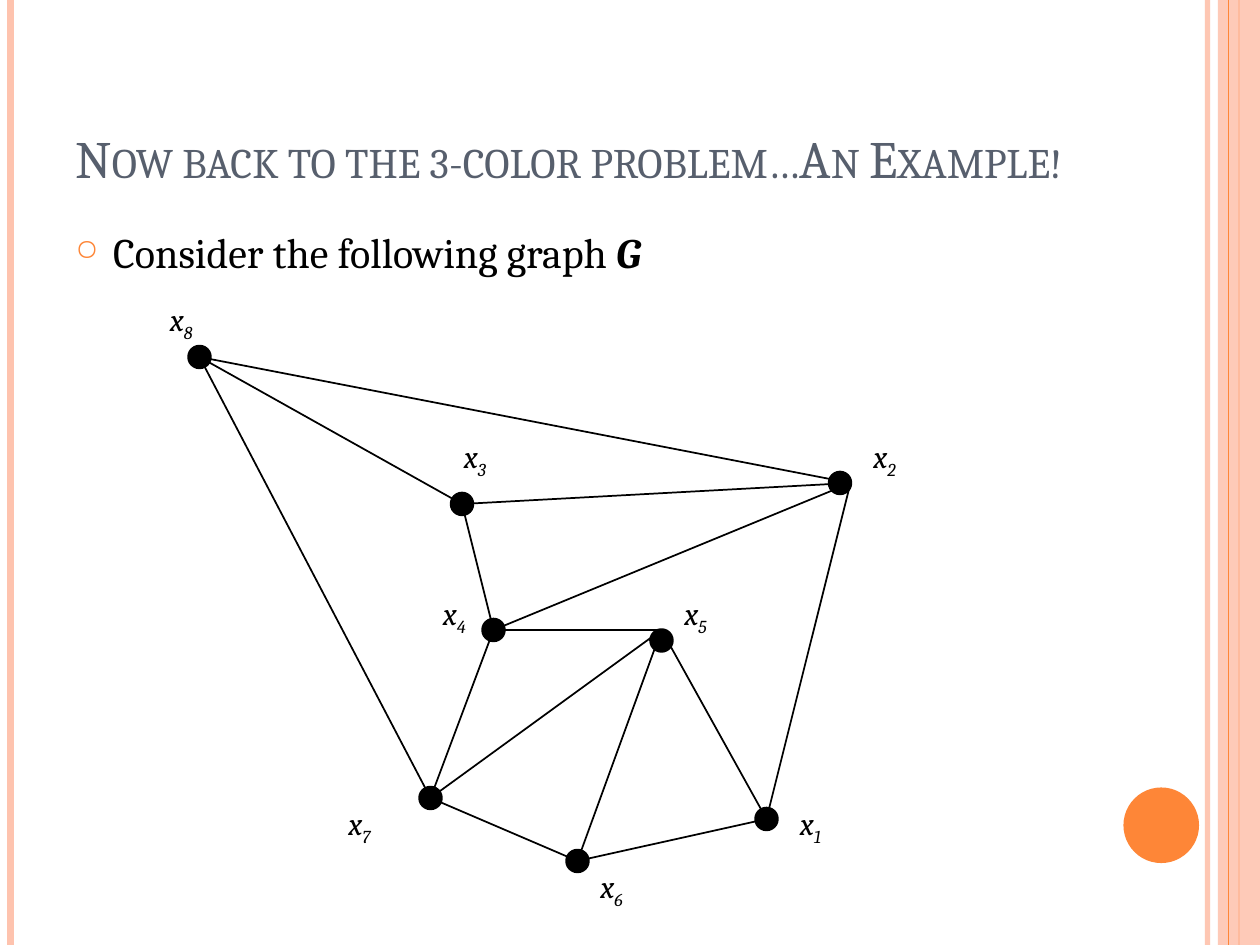
from pptx import Presentation
from pptx.dml.color import RGBColor
from pptx.enum.shapes import MSO_CONNECTOR, MSO_SHAPE
from pptx.enum.text import MSO_ANCHOR, MSO_AUTO_SIZE
from pptx.oxml.ns import qn
from pptx.util import Cm, Pt
from lxml import etree

STRAIGHT = MSO_CONNECTOR.STRAIGHT
RECTANGLE, OVAL = MSO_SHAPE.RECTANGLE, MSO_SHAPE.OVAL
TOP, BOTTOM = MSO_ANCHOR.TOP, MSO_ANCHOR.BOTTOM
FIT_SHAPE, FIT_NONE = MSO_AUTO_SIZE.SHAPE_TO_FIT_TEXT, MSO_AUTO_SIZE.NONE

BLACK = RGBColor(0x00, 0x00, 0x00)
ORANGE = RGBColor(0xFE, 0x86, 0x37)
PEACH = RGBColor(0xFE, 0xC3, 0xAE)
SLATE = RGBColor(0x57, 0x5F, 0x6D)

# All positions count steps of a grid with 12 steps to 2.54 cm
STEP = 2.54 / 12
WIDTH, HEIGHT = 120, 90


def grid(*steps):
    return [Cm(n * STEP) for n in steps]


class GraphSlide:
    font_name = "Cambria"

    def __init__(self, slide):
        self.slide = slide
        self.shapes = slide.shapes

    def set_alpha(self, shape, percent):
        for color in shape._element.spPr.iter(qn("a:srgbClr")):
            etree.SubElement(color, qn("a:alpha")).set("val", str(percent * 1000))

    def line(self, start, end, color=BLACK, width=1, alpha=100):
        line = self.shapes.add_connector(STRAIGHT, *grid(*start, *end))
        line.line.color.rgb = color
        line.line.width = Pt(width)
        etree.SubElement(line._element.spPr, qn("a:effectLst"))
        if alpha < 100:
            self.set_alpha(line, alpha)

    def shape(self, kind, box, fill, outline=0, alpha=100):
        shape = self.shapes.add_shape(kind, *grid(*box))
        shape.shadow.inherit = False
        shape.fill.solid()
        shape.fill.fore_color.rgb = fill
        if outline:
            shape.line.color.rgb = fill
            shape.line.width = Pt(outline)
        else:
            shape.line.fill.background()
        if alpha < 100:
            self.set_alpha(shape, alpha)

    def text(self, box, runs, size, color=BLACK, anchor=TOP, fit=FIT_NONE):
        """Each run is a pair of its wording and a dict of font values."""
        frame = self.shapes.add_textbox(*grid(*box)).text_frame
        layout = {"word_wrap": True, "auto_size": fit, "vertical_anchor": anchor}
        for name, value in layout.items():
            setattr(frame, name, value)
        paragraph = frame.paragraphs[0]
        for wording, extras in runs:
            run = paragraph.add_run()
            run.text = wording
            run.font.color.rgb = color
            values = {"name": self.font_name, "size": Pt(size), **extras}
            for name, value in values.items():
                setattr(run.font, name, value)
        return paragraph

    def title(self, box, wording):
        heading = self.text(box, [(wording, {})], 30, SLATE, BOTTOM)
        heading.runs[0].font._element.set("cap", "small")

    def bullet(self, box, runs):
        point = self.text(box, runs, 24)
        point.space_before = Pt(6)
        properties = point._p.get_or_add_pPr()
        indent = Cm(0.76)
        properties.set("marL", str(indent))
        properties.set("indent", str(-indent))
        color = etree.SubElement(properties, qn("a:buClr"))
        etree.SubElement(color, qn("a:srgbClr")).set("val", str(ORANGE))
        etree.SubElement(properties, qn("a:buSzPct")).set("val", "70000")
        etree.SubElement(properties, qn("a:buChar")).set("char", "○")

    def label(self, corner, number):
        runs = [("x", {"italic": True}), (str(number), {"italic": True})]
        name = self.text((*corner, 7, 4.8), runs, 18, fit=FIT_SHAPE)
        name.runs[1].font._element.set("baseline", "-25000")


# Vertex number: (point where edges meet, centre of dot, corner of label)
VERTICES = {
    8: ((19, 34), (19, 34), (15, 28)),
    3: ((44, 48), (44, 48), (43, 41)),
    2: ((81, 46), (80, 46), (82, 41)),
    7: ((41, 76), (41, 76), (32, 76)),
    4: ((47, 60), (47, 60), (41, 56)),
    5: ((63, 60), (63, 61), (64, 56)),
    6: ((55, 82), (55, 82), (56, 82)),
    1: ((73, 78), (73, 78), (75, 76)),
}
EDGES = [(8, 7), (8, 2), (8, 3), (3, 2), (4, 2), (3, 4), (7, 4),
         (7, 6), (7, 5), (4, 5), (5, 6), (6, 1), (5, 1), (2, 1)]


def main():
    deck = Presentation()
    deck.slide_width, deck.slide_height = grid(WIDTH, HEIGHT)
    page = GraphSlide(deck.slides.add_slide(deck.slide_layouts[6]))

    # Side stripes and the orange disc
    def stripe(x, *style):
        page.line((x, 0), (x, HEIGHT), *style)

    stripe(115, PEACH, 3, 93)
    stripe(1, PEACH, 4.5)
    stripe(118, ORANGE, 1.5)
    page.shape(RECTANGLE, (116, 0, 4, HEIGHT), PEACH, alpha=87)
    stripe(117, ORANGE, 0.75)
    page.shape(OVAL, (107, 75, 7.2, 7.2), ORANGE)

    # Title and statement
    page.title((6, 3.6, 98, 15), "Now back to the 3-color problem…An Example!")
    page.bullet((6, 21, 98, 64), [("Consider the following graph ", {}),
                                  ("G", {"bold": True, "italic": True})])

    # Graph: edges below dots, then labels
    for first, second in EDGES:
        page.line(VERTICES[first][0], VERTICES[second][0])
    for _, (x, y), _ in VERTICES.values():
        page.shape(OVAL, (x - 1, y - 1, 2, 2), BLACK, outline=2)
    for number, (_, _, corner) in VERTICES.items():
        page.label(corner, number)

    deck.save("out.pptx")


if __name__ == "__main__":
    main()
